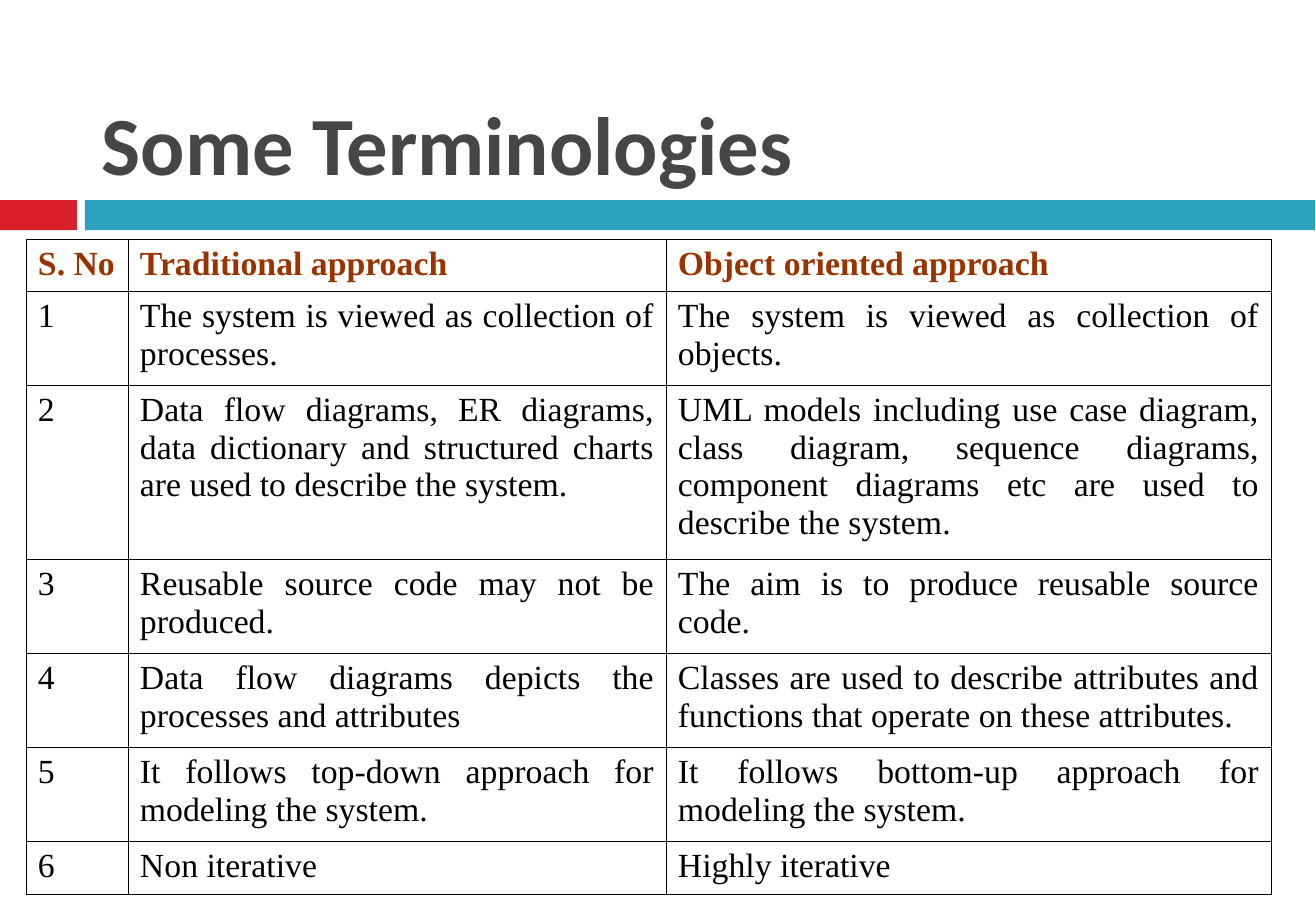
from lxml.etree import SubElement
from pptx import Presentation
from pptx.dml.color import RGBColor
from pptx.enum.shapes import MSO_SHAPE
from pptx.enum.text import MSO_ANCHOR, PP_ALIGN
from pptx.oxml.ns import qn
from pptx.util import Emu, Inches, Pt

EMU_PER_PX = 7532
SLIDE_WIDTH, SLIDE_HEIGHT = Inches(10.84), Inches(7.5)

TITLE = "Some Terminologies"
TITLE_BOX = (87, 21, 1173, 178)
BARS = [
    ((0, 200, 77, 30), "DA1F28"),
    ((85, 200, 1230, 30), "2DA2BF"),
]
TABLE_CORNER = (26, 239)
COLUMN_WIDTHS = [102, 538, 605]
ROW_HEIGHTS = [52, 94, 174, 94, 94, 94, 52]
HEADINGS = ("S. No", "Traditional approach", "Object oriented approach")
COMPARISONS = [
    ("The system is viewed as collection of processes.",
     "The system is viewed as collection of objects."),
    ("Data flow diagrams, ER diagrams, data dictionary and structured charts "
     "are used to describe the system.",
     "UML models including use case diagram, class diagram, sequence diagrams, "
     "component diagrams etc are used to describe the system."),
    ("Reusable source code may not be produced.",
     "The aim is to produce reusable source code."),
    ("Data flow diagrams depicts the processes and attributes",
     "Classes are used to describe attributes and functions that operate on "
     "these attributes."),
    ("It follows top-down approach for modeling the system.",
     "It follows bottom-up approach for modeling the system."),
    ("Non iterative", "Highly iterative"),
]


def px(*lengths):
    return [Emu(length * EMU_PER_PX) for length in lengths]


def color(code):
    return RGBColor.from_string(code)


def set_insets(holder, across, down):
    holder.margin_left = holder.margin_right = px(across)[0]
    holder.margin_top = holder.margin_bottom = px(down)[0]


def add_run(paragraph, words, size, font, code, bold):
    run = paragraph.add_run()
    run.text = words
    run.font.size = Pt(size)
    run.font.name = font
    run.font.bold = bold
    run.font.color.rgb = color(code)


def add_borders(cell):
    properties = cell._tc.get_or_add_tcPr()
    for side in ("lnL", "lnR", "lnT", "lnB"):
        border = SubElement(properties, qn(f"a:{side}"), w=str(Pt(0.45)))
        fill = SubElement(border, qn("a:solidFill"))
        SubElement(fill, qn("a:srgbClr"), val="000000")


def add_bars(slide):
    for place, code in BARS:
        bar = slide.shapes.add_shape(MSO_SHAPE.RECTANGLE, *px(*place))
        bar.shadow.inherit = False
        bar.fill.solid()
        bar.fill.fore_color.rgb = color(code)
        bar.line.fill.background()


def add_title(slide):
    title = slide.shapes.add_textbox(*px(*TITLE_BOX)).text_frame
    title.word_wrap = True
    title.vertical_anchor = MSO_ANCHOR.BOTTOM
    set_insets(title, 15, 7)
    add_run(title.paragraphs[0], TITLE, 49, "Calibri", "464646", True)


def add_comparison(slide):
    rows = [HEADINGS] + [(str(number), *pair)
                         for number, pair in enumerate(COMPARISONS, 1)]
    size = (sum(COLUMN_WIDTHS), sum(ROW_HEIGHTS))
    table = slide.shapes.add_table(len(rows), len(HEADINGS),
                                   *px(*TABLE_CORNER, *size)).table
    table.horz_banding = False
    for column, width in zip(table.columns, px(*COLUMN_WIDTHS)):
        column.width = width
    for row, height in zip(table.rows, px(*ROW_HEIGHTS)):
        row.height = height
    for row_index, row in enumerate(rows):
        heading = row_index == 0
        for column_index, words in enumerate(row):
            cell = table.cell(row_index, column_index)
            add_borders(cell)
            cell.fill.background()
            set_insets(cell, 12, 6)
            paragraph = cell.text_frame.paragraphs[0]
            paragraph.alignment = PP_ALIGN.JUSTIFY
            add_run(paragraph, words, 20, "Times New Roman",
                    "993300" if heading else "000000", heading)


def main():
    """Build the slide comparing the traditional and object oriented approaches."""
    deck = Presentation()
    deck.slide_width, deck.slide_height = SLIDE_WIDTH, SLIDE_HEIGHT
    slide = deck.slides.add_slide(deck.slide_layouts[6])
    add_bars(slide)
    add_title(slide)
    add_comparison(slide)
    deck.save("out.pptx")


if __name__ == "__main__":
    main()
